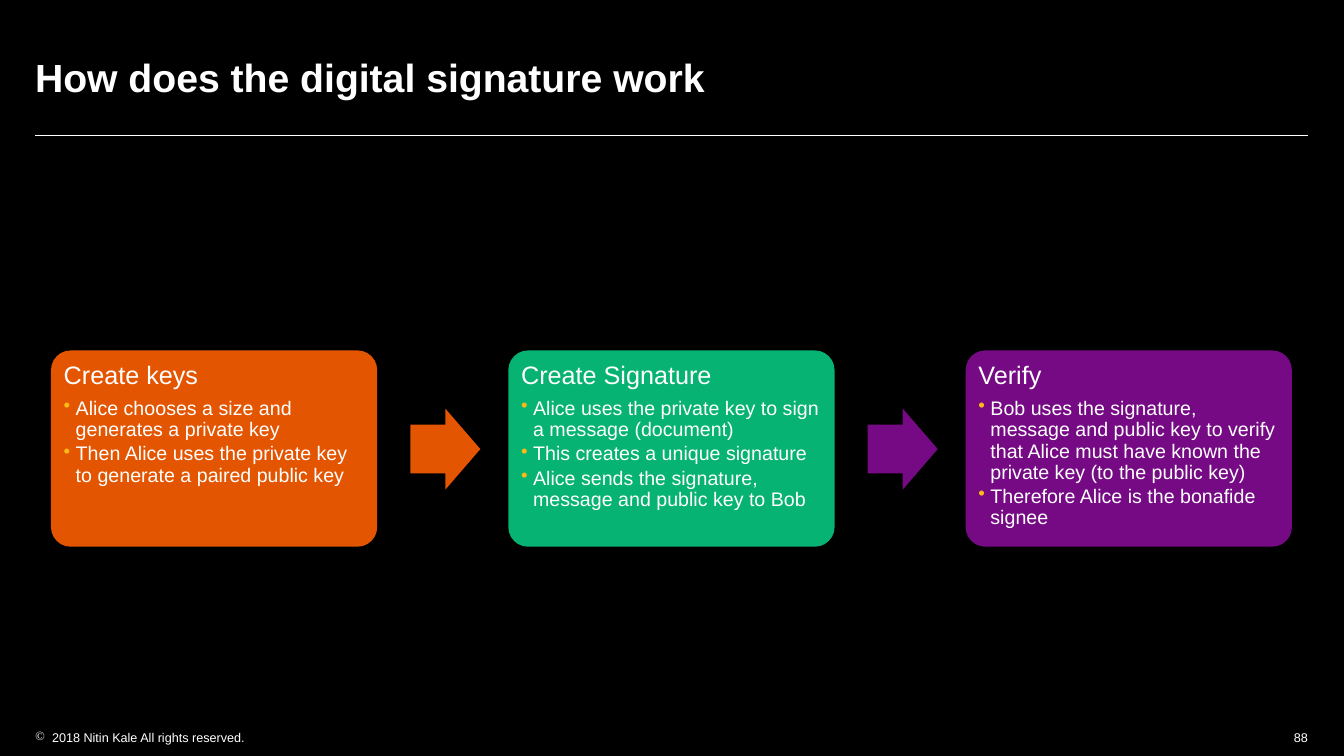
from dataclasses import dataclass

from lxml import etree
from pptx import Presentation
from pptx.dml.color import RGBColor
from pptx.enum.shapes import MSO_CONNECTOR, MSO_SHAPE
from pptx.enum.text import MSO_ANCHOR, MSO_AUTO_SIZE, PP_ALIGN
from pptx.oxml.ns import qn
from pptx.util import Pt

EMU_PER_PX = 9080
TITLE_ONLY = 5
STRAIGHT = MSO_CONNECTOR.STRAIGHT
CARD, ARROW = MSO_SHAPE.ROUNDED_RECTANGLE, MSO_SHAPE.RIGHT_ARROW
TOP, MIDDLE = MSO_ANCHOR.TOP, MSO_ANCHOR.MIDDLE
LEFT, RIGHT = PP_ALIGN.LEFT, PP_ALIGN.RIGHT


@dataclass(frozen=True)
class Theme:
    font: str = "Arial"
    background: str = "000000"
    text: str = "FFFFFF"
    bullet: str = "FDB913"
    orange: str = "E35500"
    green: str = "06B372"
    purple: str = "760A85"
    title_size: int = 28
    heading_size: int = 18
    body_size: int = 14
    footer_size: int = 9


THEME = Theme()

STEPS = [
    ("Create keys", THEME.orange, [
        "Alice chooses a size and generates a private key",
        "Then Alice uses the private key to generate a paired public key"]),
    ("Create Signature", THEME.green, [
        "Alice uses the private key to sign a message (document)",
        "This creates a unique signature",
        "Alice sends the signature, message and public key to Bob"]),
    ("Verify", THEME.purple, [
        "Bob uses the signature, message and public key to verify that Alice "
        "must have known the private key (to the public key)",
        "Therefore Alice is the bonafide signee"]),
]
STEP_LEFT, STEP_PITCH = 51, 457
ARROW_LEFT = 410
ARROW_COLORS = [THEME.orange, THEME.purple]


def px(length):
    return length * EMU_PER_PX


def rgb(color):
    return RGBColor.from_string(color)


def write(paragraph, text, *, size, bold=False, align=LEFT, line_spacing=1.0,
          after=0, bullet=None, bullet_color=THEME.bullet, indent=0):
    paragraph.alignment = align
    paragraph.line_spacing = line_spacing
    paragraph.space_before = Pt(0)
    paragraph.space_after = Pt(after)
    if bullet:
        properties = paragraph._p.get_or_add_pPr()
        properties.set("marL", str(px(indent)))
        properties.set("indent", str(-px(indent)))
        color = etree.SubElement(properties, qn("a:buClr"))
        etree.SubElement(color, qn("a:srgbClr"), val=bullet_color)
        etree.SubElement(properties, qn("a:buChar"), char=bullet)
    run = paragraph.add_run()
    run.text = text
    run.font.name = THEME.font
    run.font.size = Pt(size)
    run.font.bold = bold
    run.font.color.rgb = rgb(THEME.text)


class SlideBuilder:
    def __init__(self, presentation, theme):
        self.theme = theme
        self.slide = presentation.slides.add_slide(
            presentation.slide_layouts[TITLE_ONLY])
        fill = self.slide.background.fill
        fill.solid()
        fill.fore_color.rgb = rgb(theme.background)

    def frame(self, shape, inset=0, anchor=TOP):
        frame = shape.text_frame
        frame.word_wrap = True
        frame.auto_size = MSO_AUTO_SIZE.NONE
        frame.vertical_anchor = anchor
        frame.margin_left = frame.margin_right = px(inset)
        frame.margin_top = frame.margin_bottom = px(inset)
        return frame

    def title(self, text, left, top, width, height):
        title = self.slide.shapes.title
        title.left, title.top = px(left), px(top)
        title.width, title.height = px(width), px(height)
        write(self.frame(title, anchor=MIDDLE).paragraphs[0], text,
              size=self.theme.title_size, bold=True)

    def rule(self, left, right, y):
        line = self.slide.shapes.add_connector(
            STRAIGHT, px(left), px(y), px(right), px(y))
        line.line.color.rgb = rgb(self.theme.text)
        line.line.width = Pt(0.5)
        etree.SubElement(line._element.spPr, qn("a:effectLst"))

    def label(self, text, left, top, width, height, **text_format):
        box = self.slide.shapes.add_textbox(
            px(left), px(top), px(width), px(height))
        write(self.frame(box).paragraphs[0], text,
              size=self.theme.footer_size, **text_format)

    def shape(self, kind, left, top, width, height, color, adjustments):
        shape = self.slide.shapes.add_shape(
            kind, px(left), px(top), px(width), px(height))
        for index, value in enumerate(adjustments):
            shape.adjustments[index] = value
        shape.shadow.inherit = False
        shape.fill.solid()
        shape.fill.fore_color.rgb = rgb(color)
        shape.line.fill.background()
        return shape

    def step(self, heading, color, points, left):
        card = self.shape(CARD, left, 350, 326, 196, color, [0.1])
        frame = self.frame(card, inset=7)
        write(frame.paragraphs[0], heading, size=self.theme.heading_size,
              line_spacing=0.9, after=6)
        for point in points:
            write(frame.add_paragraph(), point, size=self.theme.body_size,
                  line_spacing=0.9, after=2, bullet="•", indent=12)

    def arrow(self, color, left):
        self.shape(ARROW, left, 408, 70, 81, color, [0.6, 0.5])


def main():
    presentation = Presentation()
    presentation.slide_width, presentation.slide_height = px(1343), px(755)
    builder = SlideBuilder(presentation, THEME)

    # Header
    builder.title("How does the digital signature work", 35, 35, 1272, 84)
    builder.rule(35, 1307, 135)

    # Process steps and the arrows between them
    for index, (heading, color, points) in enumerate(STEPS):
        builder.step(heading, color, points, STEP_LEFT + index * STEP_PITCH)
    for index, color in enumerate(ARROW_COLORS):
        builder.arrow(color, ARROW_LEFT + index * STEP_PITCH)

    # Footer
    builder.label("2018 Nitin Kale All rights reserved.", 35, 729, 300, 15,
                  bullet="©", bullet_color=THEME.text, indent=17)
    builder.label("88", 1207, 729, 100, 15, align=RIGHT)

    presentation.save("out.pptx")


if __name__ == "__main__":
    main()
